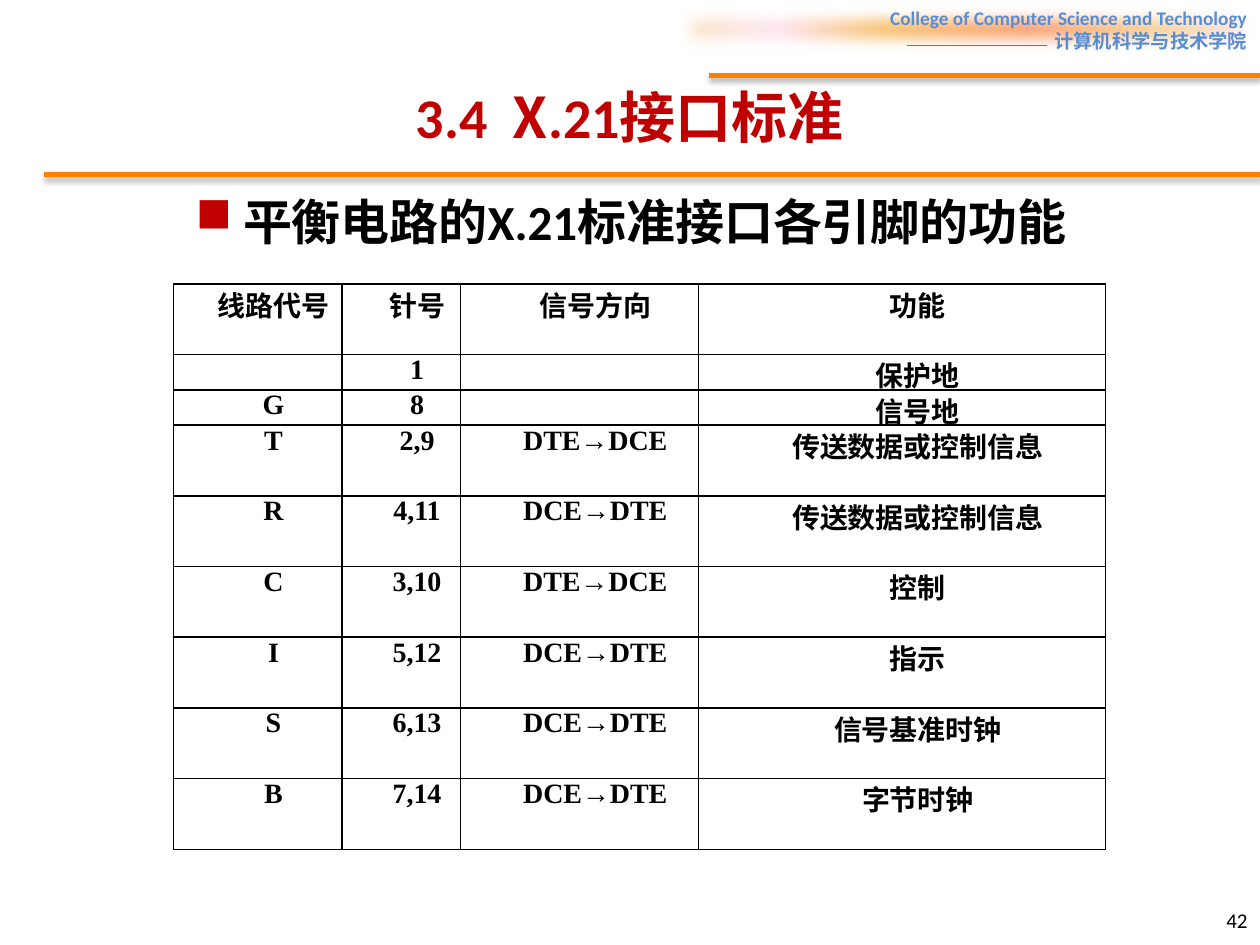
from dataclasses import dataclass

from lxml.etree import SubElement
from pptx import Presentation
from pptx.dml.color import RGBColor
from pptx.enum.shapes import MSO_CONNECTOR, MSO_SHAPE
from pptx.enum.text import MSO_ANCHOR, PP_ALIGN
from pptx.oxml.ns import qn
from pptx.util import Pt


@dataclass(frozen=True)
class Theme:
    red: str = "C00000"
    black: str = "000000"
    blue: str = "558ED5"
    thin_rule: str = "4B7EBC"
    orange: str = "FF8000"
    glow: tuple = ((0, "FBEAC7"), (18, "FEE7F2"), (36, "FAC77D"),
                   (61, "FBA97D"), (82, "FBD49C"), (100, "FEE7F2"))
    latin: str = "Calibri"
    chinese: str = "Noto Sans CJK SC"
    serif: str = "Times New Roman"
    title: int = 32
    heading: int = 28
    cell: int = 16
    number: int = 12
    college: int = 11


THEME = Theme()

PIN_ROWS = [
    ("线路代号", "针号", "信号方向", "功能"),
    ("", "1", "", "保护地"),
    ("G", "8", "", "信号地"),
    ("T", "2,9", "DTE→DCE", "传送数据或控制信息"),
    ("R", "4,11", "DCE→DTE", "传送数据或控制信息"),
    ("C", "3,10", "DTE→DCE", "控制"),
    ("I", "5,12", "DCE→DTE", "指示"),
    ("S", "6,13", "DCE→DTE", "信号基准时钟"),
    ("B", "7,14", "DCE→DTE", "字节时钟"),
]


def points(*values):
    return [Pt(value) for value in values]


def style(paragraph, size, color, align, bold=True, face=THEME.latin):
    paragraph.alignment = align
    font = paragraph.font
    font.name, font.size, font.bold = face, Pt(size), bold
    font.color.rgb = RGBColor.from_string(color)


def add_color(parent, color):
    return SubElement(parent, qn("a:srgbClr"), val=color)


def add_rule(shapes, left, right, y, color, width, shadow=False):
    rule = shapes.add_connector(MSO_CONNECTOR.STRAIGHT, *points(left, y, right, y))
    rule.line.color.rgb = RGBColor.from_string(color)
    rule.line.width = Pt(width)
    effects = SubElement(rule._element.spPr, qn("a:effectLst"))
    if shadow:
        outer = SubElement(effects, qn("a:outerShdw"), blurRad=str(Pt(3.1)),
                           dist=str(Pt(1.8)), dir="5400000", rotWithShape="0")
        SubElement(add_color(outer, THEME.black), qn("a:alpha"), val="35000")


def add_college_banner(slide, left, top, width, height):
    group = slide.shapes.add_group_shape()
    banner = group.shapes.add_shape(MSO_SHAPE.RECTANGLE, *points(left, top, width, height))
    banner.line.fill.background()

    # Soft-edged gradient, running left to right
    properties = banner._element.spPr
    gradient = SubElement(properties, qn("a:gradFill"))
    stops = SubElement(gradient, qn("a:gsLst"))
    for position, color in THEME.glow:
        add_color(SubElement(stops, qn("a:gs"), pos=str(position * 1000)), color)
    SubElement(gradient, qn("a:lin"), ang="0", scaled="0")
    properties.find(qn("a:ln")).addprevious(gradient)
    effects = SubElement(properties, qn("a:effectLst"))
    SubElement(effects, qn("a:softEdge"), rad=str(Pt(9)))

    # College name in two languages
    frame = banner.text_frame
    frame.word_wrap = True
    frame.vertical_anchor = MSO_ANCHOR.TOP
    frame.text = "College of Computer Science and Technology\n计算机科学与技术学院"
    for paragraph in frame.paragraphs:
        style(paragraph, THEME.college, THEME.blue, PP_ALIGN.RIGHT)
    add_rule(group.shapes, left + 134.6, left + 214.6, top + 25.9, THEME.thin_rule, 0.75)


def add_title(slide, left, top, width, height):
    title = slide.shapes.title
    title.left, title.top, title.width, title.height = points(left, top, width, height)
    title.text_frame.vertical_anchor = MSO_ANCHOR.MIDDLE
    paragraph = title.text_frame.paragraphs[0]
    for text, face in (("3.4  ", THEME.latin), ("X", THEME.chinese),
                       (".21", THEME.latin), ("接口标准", THEME.chinese)):
        run = paragraph.add_run()
        run.text, run.font.name = text, face
    style(paragraph, THEME.title, THEME.red, PP_ALIGN.CENTER)


def add_heading(slide, left, top, width, height):
    frame = slide.shapes.add_textbox(*points(left, top, width, height)).text_frame
    frame.word_wrap = True
    paragraph = frame.paragraphs[0]
    paragraph.text = "平衡电路的X.21标准接口各引脚的功能"
    # Square red bullet on a hanging indent
    properties = paragraph._p.get_or_add_pPr()
    properties.set("marL", str(Pt(27)))
    properties.set("indent", str(Pt(-27)))
    add_color(SubElement(properties, qn("a:buClr")), THEME.red)
    SubElement(properties, qn("a:buChar"), char="■")
    style(paragraph, THEME.heading, THEME.black, PP_ALIGN.CENTER)


def fill_cell(cell, text):
    cell.fill.background()
    cell.margin_left = cell.margin_right = Pt(5)
    cell.margin_top = cell.margin_bottom = 0
    paragraph = cell.text_frame.paragraphs[0]
    paragraph.text = text
    paragraph._p.get_or_add_pPr().set("indent", str(Pt(18)))
    style(paragraph, THEME.cell, THEME.black, PP_ALIGN.CENTER, face=THEME.serif)
    if not text:
        SubElement(paragraph._p, qn("a:endParaRPr"), sz=str(THEME.cell * 100))
    # Borders come before the fill in the cell properties
    properties = cell._tc.get_or_add_tcPr()
    for index, side in enumerate(("lnL", "lnR", "lnT", "lnB")):
        border = SubElement(properties, qn(f"a:{side}"), w=str(Pt(1)))
        add_color(SubElement(border, qn("a:solidFill")), THEME.black)
        properties.insert(index, border)


def add_pin_table(slide, left, top, width, height):
    shares = (1.34, 0.94, 1.89, 3.23)
    row_units = [1 if row in (1, 2) else 2 for row in range(len(PIN_ROWS))]
    table = slide.shapes.add_table(len(PIN_ROWS), len(shares),
                                   *points(left, top, width, height)).table
    table.first_row = table.horz_banding = False
    for column, share in zip(table.columns, shares):
        column.width = Pt(width * share / sum(shares))
    for row, units, texts in zip(table.rows, row_units, PIN_ROWS):
        row.height = Pt(height * units / sum(row_units))
        for cell, text in zip(row.cells, texts):
            fill_cell(cell, text)


def add_page_number(slide, left, top, width, height):
    frame = slide.shapes.add_textbox(*points(left, top, width, height)).text_frame
    frame.word_wrap = True
    frame.vertical_anchor = MSO_ANCHOR.MIDDLE
    frame.text = "42"
    style(frame.paragraphs[0], THEME.number, THEME.black, PP_ALIGN.RIGHT, bold=False)


def main():
    deck = Presentation()
    deck.slide_width, deck.slide_height = points(720, 540)
    slide = deck.slides.add_slide(deck.slide_layouts[5])

    add_title(slide, 36, 21.6, 648, 90)
    add_heading(slide, 36.7, 105.8, 648, 41.8)
    add_college_banner(slide, 383.8, 0, 336.2, 33.8)
    # Orange rules under the title and the banner
    for left, y in ((25.4, 99.8), (405.2, 43)):
        add_rule(slide.shapes, left, 720, y, THEME.orange, 3, shadow=True)
    add_page_number(slide, 552.2, 511.2, 167.8, 28.8)
    add_pin_table(slide, 99, 162.2, 532.8, 323.2)
    deck.save("out.pptx")


if __name__ == "__main__":
    main()
